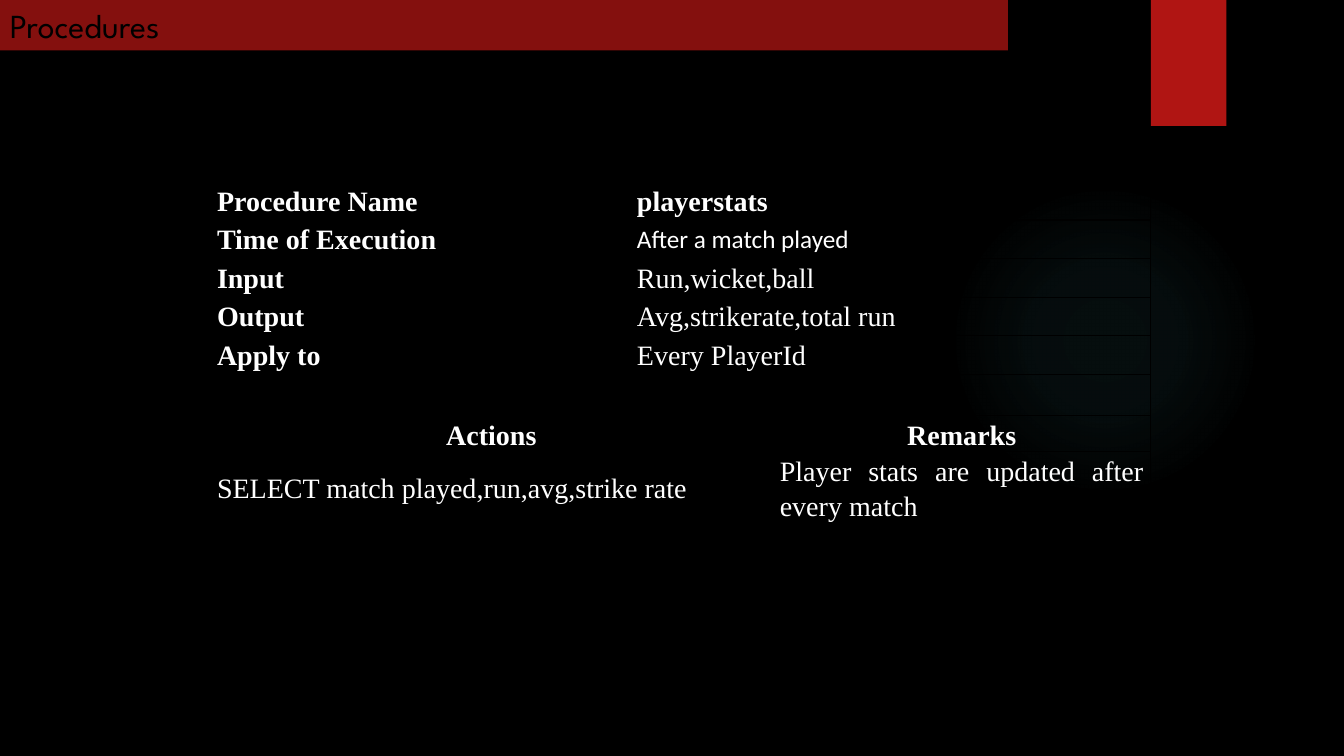
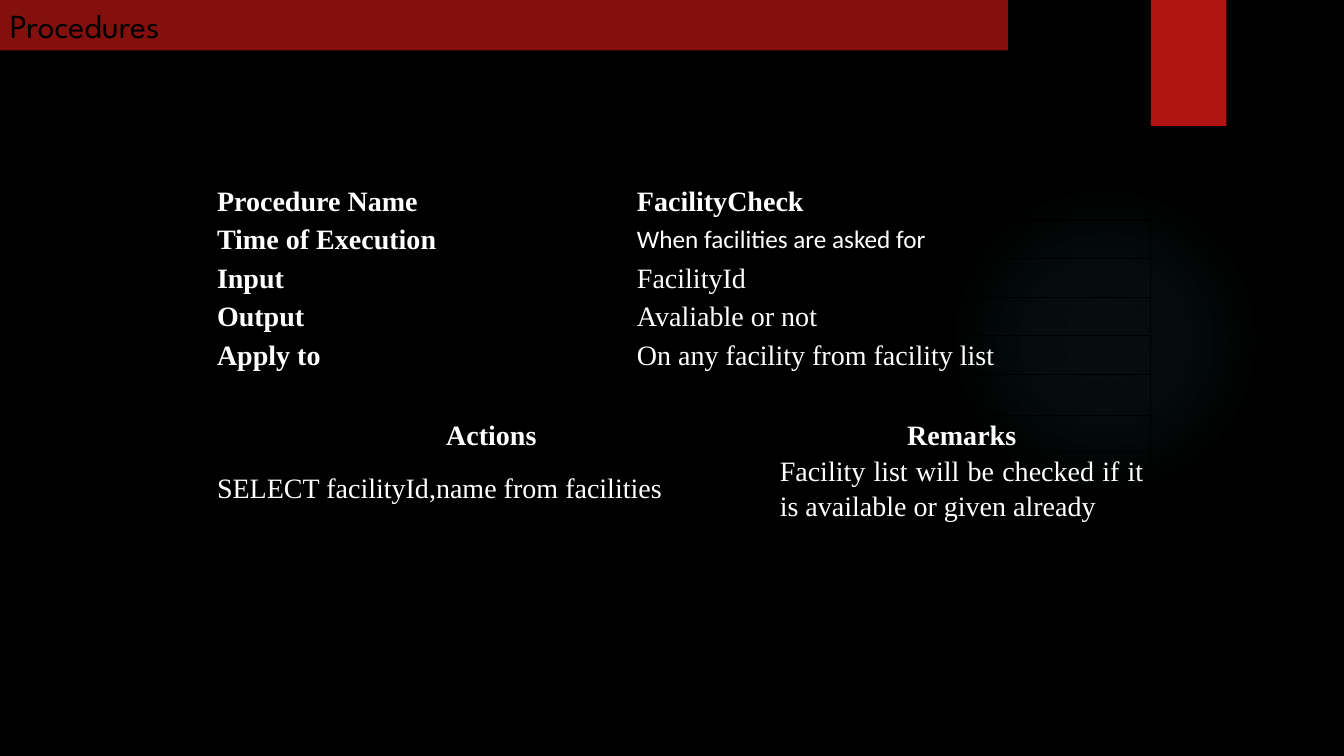
"""Build the two procedure slides: a title band and a details table on black."""
from lxml import etree
from pptx import Presentation
from pptx.dml.color import RGBColor
from pptx.enum.shapes import MSO_SHAPE
from pptx.enum.text import MSO_ANCHOR, PP_ALIGN
from pptx.oxml import parse_xml
from pptx.oxml.ns import nsdecls, qn
from pptx.util import Inches, Pt

RECT, OVAL = MSO_SHAPE.RECTANGLE, MSO_SHAPE.OVAL
LEFT, MID, JUST = PP_ALIGN.LEFT, PP_ALIGN.CENTER, PP_ALIGN.JUSTIFY
TOP, CENTER = MSO_ANCHOR.TOP, MSO_ANCHOR.MIDDLE

BLACK = RGBColor(0x00, 0x00, 0x00)
WHITE = RGBColor(0xFF, 0xFF, 0xFF)
BAND = RGBColor(0x84, 0x10, 0x0E)
TAB = RGBColor(0xB0, 0x15, 0x13)
GLOW = RGBColor(0x50, 0xB9, 0xC1)
STOPS = ((0, 7), (36, 6), (69, 0))

SERIF, SANS, HEAD = "Times New Roman", "Calibri", "League Spartan"

WIDE, HIGH = Inches(13.33), Inches(7.5)
COL, ROW = WIDE / 160, HIGH / 90
COLS = (50, 17, 45)
ROWS = (4.6,) * 5 + (4.9, 3.7, 7.6)
LABELS = ("Procedure Name", "Time of Execution", "Input", "Output", "Apply to")

SLIDES = (
    (
        ("playerstats", "After a match played", "Run,wicket,ball",
         "Avg,strikerate,total run", "Every PlayerId"),
        "SELECT match played,run,avg,strike rate",
        "Player stats are updated after every match",
    ),
    (
        ("FacilityCheck", "When facilities are asked for", "FacilityId",
         "Avaliable or not", "On any facility from facility list"),
        "SELECT facilityId,name from facilities",
        "Facility list will be checked if it is available or given already",
    ),
)


def place(x, y, w, h):
    """Turn grid columns and rows into slide lengths."""
    return round(x * COL), round(y * ROW), round(w * COL), round(h * ROW)


def write(frame, text, font=SERIF, size=20, color=WHITE, bold=False,
          align=LEFT, space=1.0):
    """Write one formatted paragraph into a text frame."""
    frame.word_wrap = True
    para = frame.paragraphs[0]
    para.alignment, para.line_spacing = align, space
    run = para.add_run()
    run.text = text
    run.font.name, run.font.size, run.font.bold = font, Pt(size), bold
    run.font.color.rgb = color


def block(slide, kind, box, color):
    """Add a plain filled shape."""
    shape = slide.shapes.add_shape(kind, *place(*box))
    shape.shadow.inherit = False
    shape.fill.solid()
    shape.fill.fore_color.rgb = color
    shape.line.fill.background()
    return shape


def glow(slide, box):
    """Add a round, nearly clear glow."""
    shape = block(slide, OVAL, box, GLOW)
    stops = "".join(
        f'<a:gs pos="{pos * 1000}"><a:srgbClr val="{GLOW}">'
        f'<a:alpha val="{alpha * 1000}"/></a:srgbClr></a:gs>'
        for pos, alpha in STOPS)
    grad = parse_xml(
        f'<a:gradFill {nsdecls("a")}><a:gsLst>{stops}</a:gsLst>'
        '<a:path path="circle"><a:fillToRect l="50000" t="50000" '
        'r="50000" b="50000"/></a:path></a:gradFill>')
    props = shape.element.spPr
    props.replace(props.find(qn("a:solidFill")), grad)


def border(cell):
    """Draw thin black lines round a cell."""
    props = cell._tc.get_or_add_tcPr()
    for side in ("lnL", "lnR", "lnT", "lnB"):
        line = etree.SubElement(props, qn(f"a:{side}"), w=str(Pt(1)))
        fill = etree.SubElement(line, qn("a:solidFill"))
        etree.SubElement(fill, qn("a:srgbClr"), val=str(BLACK))


def fill_cell(cell, text, anchor=TOP, align=JUST, **style):
    """Write a table cell."""
    cell.vertical_anchor = anchor
    write(cell.text_frame, text, align=align, space=1.15, **style)


def make_grid(slide):
    """Add the empty table with its merged cells."""
    box = place(25, 21.6, sum(COLS), sum(ROWS))
    grid = slide.shapes.add_table(len(ROWS), len(COLS), *box).table
    grid.first_row = grid.horz_banding = False
    for col, width in zip(grid.columns, COLS):
        col.width = round(width * COL)
    for row, height in zip(grid.rows, ROWS):
        row.height = round(height * ROW)
    for cell in grid.iter_cells():
        cell.margin_left = cell.margin_right = Inches(0.07)
        cell.margin_top = cell.margin_bottom = 0
        border(cell)
        cell.fill.background()
    for row in range(len(LABELS)):
        grid.cell(row, 1).merge(grid.cell(row, 2))
    grid.cell(5, 0).merge(grid.cell(5, 2))
    for row in (6, 7):
        grid.cell(row, 0).merge(grid.cell(row, 1))
    return grid


def details(slide, values, action, remark):
    """Add the table that describes one procedure."""
    grid = make_grid(slide)
    styles = [{} for _ in values]
    styles[0] = {"bold": True}
    styles[1] = {"font": SANS, "size": 18}
    for row, (label, value) in enumerate(zip(LABELS, values)):
        fill_cell(grid.cell(row, 0), label, bold=True)
        fill_cell(grid.cell(row, 1), value, **styles[row])
    fill_cell(grid.cell(6, 0), "Actions", align=MID, bold=True)
    fill_cell(grid.cell(6, 2), "Remarks", CENTER, MID, bold=True)
    fill_cell(grid.cell(7, 0), action, CENTER, LEFT)
    fill_cell(grid.cell(7, 2), remark, CENTER)


def backdrop(slide):
    """Paint the shared black ground, glow and red tab."""
    slide.background.fill.solid()
    slide.background.fill.fore_color.rgb = BLACK
    glow(slide, (113, 22, 37, 37))
    block(slide, RECT, (137, 0, 9, 15), TAB)


def title(slide, text):
    """Add the title band."""
    band = block(slide, RECT, (0, 0, 120, 6), BAND)
    band.text_frame.vertical_anchor = CENTER
    write(band.text_frame, text, font=HEAD, size=24, color=BLACK)


def main():
    """Build and save the slides."""
    deck = Presentation()
    deck.slide_width, deck.slide_height = WIDE, HIGH
    for values, action, remark in SLIDES:
        slide = deck.slides.add_slide(deck.slide_layouts[6])
        backdrop(slide)
        details(slide, values, action, remark)
        title(slide, "Procedures")
    deck.save("out.pptx")


if __name__ == "__main__":
    main()
